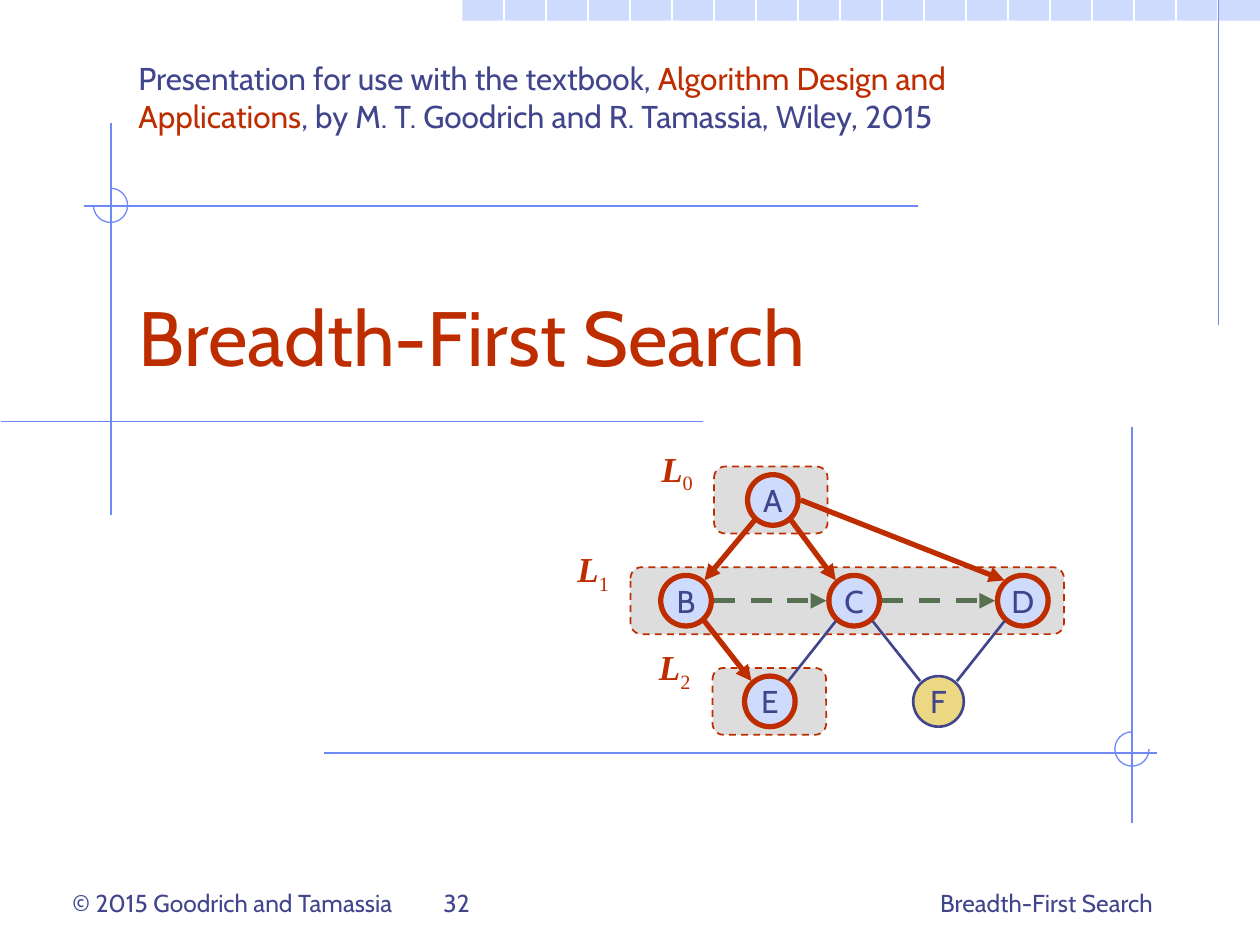
from lxml.etree import SubElement
from pptx import Presentation
from pptx.dml.color import RGBColor
from pptx.enum.dml import MSO_LINE
from pptx.enum.shapes import MSO_CONNECTOR, MSO_SHAPE
from pptx.enum.text import MSO_ANCHOR, PP_ALIGN
from pptx.oxml.ns import qn
from pptx.util import Cm, Pt

COLORS = {
    "navy": "40458C", "red": "BE2D00", "pale": "CFDBFD", "blue": "6F89F7",
    "gray": "DDDDDD", "green": "577052", "yellow": "ECD882", "white": "FFFFFF",
}
FONT, LABEL_FONT = "Cabin", "Times New Roman"

# Content; all lengths in cm
SLIDE_WIDTH, SLIDE_HEIGHT = 25.4, 19.05
TITLE = "Breadth-First Search"
SUBTITLE = [
    ("Presentation for use with the textbook, ", "navy"),
    ("Algorithm Design and Applications", "red"),
    (", by M. T. Goodrich and R. Tamassia, Wiley, 2015", "navy"),
]
# text, left, top, width, height, anchor, alignment
FOOTERS = [
    ("© 2015 Goodrich and Tamassia", 1.21, 17.78, 7.59, 0.86, MSO_ANCHOR.TOP, PP_ALIGN.LEFT),
    ("32", 8.69, 17.35, 8.05, 1.27, MSO_ANCHOR.BOTTOM, PP_ALIGN.LEFT),
    (TITLE, 18.21, 17.35, 5.28, 1.27, MSO_ANCHOR.BOTTOM, PP_ALIGN.RIGHT),
]
RULES = [  # start x, start y, end x, end y
    (24.56, 0, 24.56, 6.55), (2.24, 2.47, 2.24, 10.39), (14.18, 8.49, 0.03, 8.49),
    (18.5, 4.15, 1.7, 4.15), (6.53, 15.18, 23.32, 15.18), (22.82, 8.61, 22.82, 16.59),
]
ARCS = [(2.23, 4.14, 270, 180), (22.82, 15.1, 0, 270)]  # centre, start and end degrees
ARC_SIZE = 0.69

ROW_Y = [10.08, 12.11, 14.14]
LEVELS = [  # centre x, width, label left, label top
    (15.54, 2.29, 13.0, 8.89), (17.08, 8.74, 11.31, 10.92), (15.51, 2.29, 12.95, 12.89),
]
LEVEL_HEIGHT = 1.35
NODES = {  # centre x, row
    "A": (15.58, 0), "B": (13.83, 1), "C": (17.22, 1),
    "D": (20.62, 1), "E": (15.52, 2), "F": (18.92, 2),
}
NODE_SIZE = 1.02
SIDES = {
    "e": (0.56, 0), "w": (-0.56, 0), "ne": (0.37, -0.41),
    "nw": (-0.37, -0.41), "se": (0.37, 0.41), "sw": (-0.37, 0.41),
}
EDGES = [  # from, side, to, side, kind
    ("A", "sw", "B", "ne", "tree"), ("A", "se", "C", "nw", "tree"),
    ("A", "e", "D", "nw", "tree"), ("B", "se", "E", "nw", "tree"),
    ("B", "e", "C", "w", "cross"), ("C", "e", "D", "w", "cross"),
    ("E", "ne", "C", "sw", "plain"), ("F", "ne", "D", "sw", "plain"),
    ("C", "se", "F", "nw", "plain"),
]
EDGE_STYLES = {  # colour, width, dashed, arrow
    "tree": ("red", 3, False, True),
    "cross": ("green", 3, True, True),
    "plain": ("navy", 1.5, False, False),
}

presentation = Presentation()
presentation.slide_width, presentation.slide_height = Cm(SLIDE_WIDTH), Cm(SLIDE_HEIGHT)
slide = presentation.slides.add_slide(presentation.slide_layouts[6])


def color(name):
    return RGBColor.from_string(COLORS[name])


def add_line(x1, y1, x2, y2, line_color, width=0.75, dashed=False, arrow=False):
    connector = slide.shapes.add_connector(
        MSO_CONNECTOR.STRAIGHT, Cm(x1), Cm(y1), Cm(x2), Cm(y2))
    connector.line.color.rgb = color(line_color)
    connector.line.width = Pt(width)
    if dashed:
        connector.line.dash_style = MSO_LINE.DASH
    if arrow:
        SubElement(connector.line._get_or_add_ln(), qn("a:tailEnd"), type="triangle")
    SubElement(connector._element.spPr, qn("a:effectLst"))


def add_shape(kind, center_x, center_y, width, height, fill=None, line=None, weight=0.75):
    shape = slide.shapes.add_shape(
        kind, Cm(center_x - width / 2), Cm(center_y - height / 2), Cm(width), Cm(height))
    shape.shadow.inherit = False
    if fill:
        shape.fill.solid()
        shape.fill.fore_color.rgb = color(fill)
    else:
        shape.fill.background()
    if line:
        shape.line.color.rgb = color(line)
        shape.line.width = Pt(weight)
    else:
        shape.line.fill.background()
    return shape


def format_run(run, size, font_color, name=FONT):
    run.font.size, run.font.name = Pt(size), name
    run.font.color.rgb = color(font_color)


def add_text(runs, left, top, width, height, size, anchor=MSO_ANCHOR.TOP,
             alignment=PP_ALIGN.LEFT, name=FONT):
    box = slide.shapes.add_textbox(Cm(left), Cm(top), Cm(width), Cm(height))
    box.text_frame.word_wrap = True
    box.text_frame.vertical_anchor = anchor
    paragraph = box.text_frame.paragraphs[0]
    paragraph.alignment = alignment
    for text, font_color in runs:
        run = paragraph.add_run()
        run.text = text
        format_run(run, size, font_color, name)
    return paragraph


# Top bar, divided by the white columns of the page grid
BAR_LEFT, BAR_HEIGHT, GRID_STEP = 9.32, 0.42, SLIDE_WIDTH / 30
add_shape(MSO_SHAPE.RECTANGLE, (BAR_LEFT + SLIDE_WIDTH) / 2, BAR_HEIGHT / 2,
          SLIDE_WIDTH - BAR_LEFT, BAR_HEIGHT, "pale")
for column in range(12, 30):
    add_line(column * GRID_STEP, 0, column * GRID_STEP, SLIDE_HEIGHT, "white")

# Decorative rules and arcs
for rule in RULES:
    add_line(*rule, "blue")
for center_x, center_y, start, end in ARCS:
    arc = add_shape(MSO_SHAPE.ARC, center_x, center_y, ARC_SIZE, ARC_SIZE, line="blue")
    for index, degrees in enumerate((start, end)):
        arc.adjustments[index] = degrees * 0.6  # 60000 units a degree, scaled by 100000

# Title, subtitle and footers
add_text([(TITLE, "red")], 2.55, 4.65, 21.59, 3.18, 44, MSO_ANCHOR.BOTTOM)
add_text(SUBTITLE, 2.54, 1.07, 18.42, 2.74, 18)
for text, left, top, width, height, anchor, alignment in FOOTERS:
    add_text([(text, "navy")], left, top, width, height, 14, anchor, alignment)

# Level boxes and labels
for level, (center_x, width, label_left, label_top) in enumerate(LEVELS):
    box = add_shape(MSO_SHAPE.ROUNDED_RECTANGLE, center_x, ROW_Y[level],
                    width, LEVEL_HEIGHT, "gray", "red", 1)
    box.line.dash_style = MSO_LINE.DASH
    label = add_text([("L", "red"), (str(level), "red")], label_left, label_top,
                     1.3, 1.09, 20, alignment=PP_ALIGN.CENTER, name=LABEL_FONT)
    letter, subscript = label.runs
    letter.font.bold = letter.font.italic = True
    subscript.font._element.set("baseline", "-25000")

# Graph nodes
for name, (center_x, row) in NODES.items():
    style = ("yellow", "navy", 1.5) if name == "F" else ("pale", "red", 3)
    node = add_shape(MSO_SHAPE.OVAL, center_x, ROW_Y[row], NODE_SIZE, NODE_SIZE, *style)
    node.text_frame.text = name
    node.text_frame.word_wrap = False
    node.text_frame.vertical_anchor = MSO_ANCHOR.MIDDLE
    paragraph = node.text_frame.paragraphs[0]
    paragraph.alignment = PP_ALIGN.CENTER
    format_run(paragraph.runs[0], 18, "navy")


# Graph edges
def anchor_point(name, side):
    center_x, row = NODES[name]
    offset_x, offset_y = SIDES[side]
    return center_x + offset_x, ROW_Y[row] + offset_y


for source, source_side, target, target_side, kind in EDGES:
    add_line(*anchor_point(source, source_side), *anchor_point(target, target_side),
             *EDGE_STYLES[kind])

presentation.save("out.pptx")
